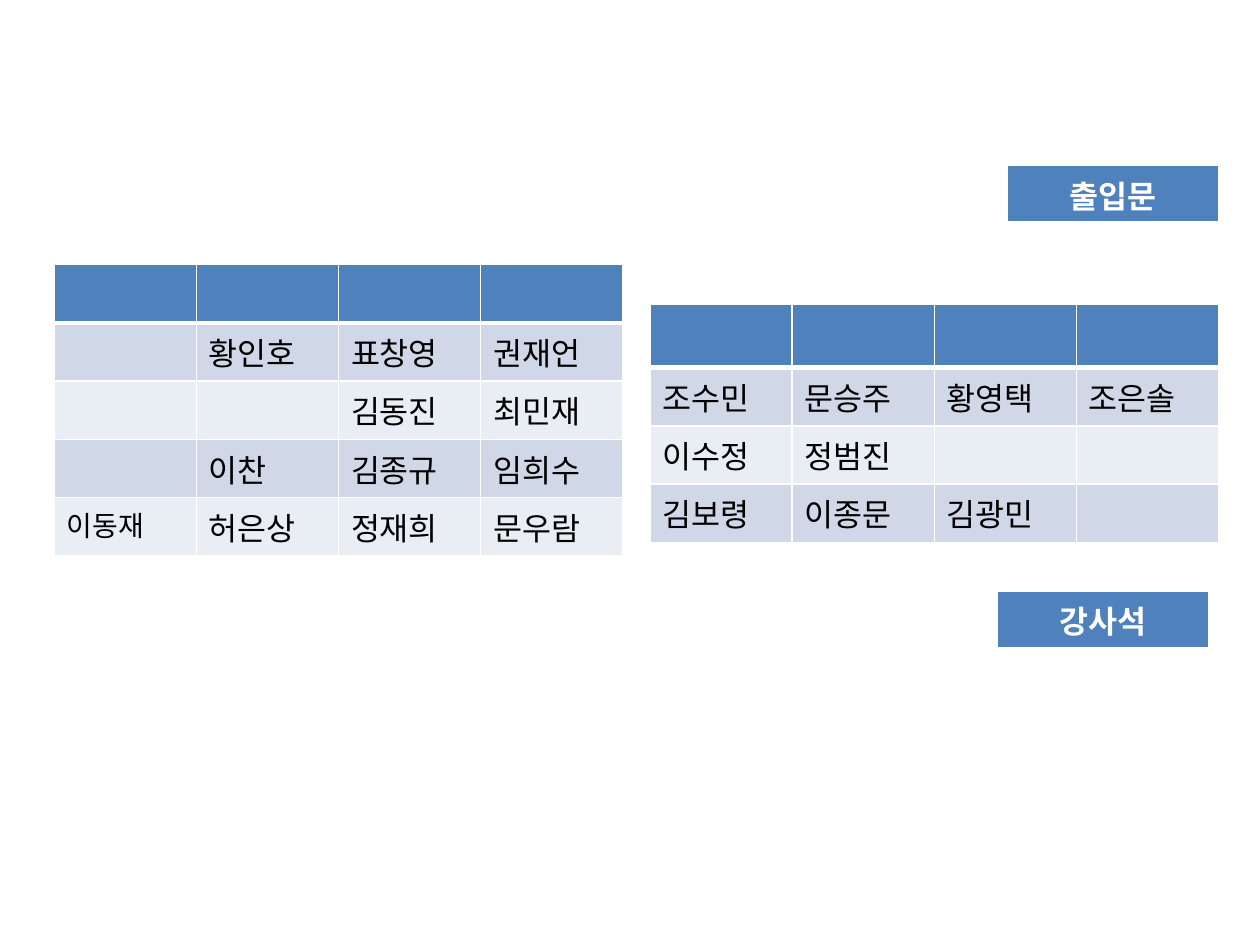
from lxml.etree import SubElement
from pptx import Presentation
from pptx.dml.color import RGBColor as Rgb
from pptx.enum.text import PP_ALIGN as Align
from pptx.oxml.ns import qn
from pptx.util import Pt

FONT = "Noto Sans CJK KR"
COLORS = {"header": "4F81BD", "odd": "D0D8E8", "even": "E9EDF4",
          "text": "000000", "white": "FFFFFF"}
SIZE, SMALL, ROW, SEAT, LABEL = 18, 16, 29.2, 81.2, 121
SMALL_NAMES = {"이동재"}

TABLES = [
    {"at": (31, 151.2), "column": SEAT, "header": (28.3, 18), "rows": [
        ["", "", "", ""],
        ["", "황인호", "표창영", "권재언"],
        ["", "", "김동진", "최민재"],
        ["", "이찬", "김종규", "임희수"],
        ["이동재", "허은상", "정재희", "문우람"]]},
    {"at": (371.5, 173.8), "column": SEAT, "header": (ROW, 20), "rows": [
        ["", "", "", ""],
        ["조수민", "문승주", "황영택", "조은솔"],
        ["이수정", "정범진", "", ""],
        ["김보령", "이종문", "김광민", ""]]},
    {"at": (569.8, 337.7), "column": LABEL, "header": (28.3, 18), "rows": [["강사석"]]},
    {"at": (575.5, 94.5), "column": LABEL, "header": (ROW, 18), "rows": [["출입문"]]},
]


def add_borders(cell, is_header):
    """Draw white cell edges, with a thick line under the header."""
    widths = {"lnL": 1, "lnR": 1, "lnT": 1, "lnB": 3 if is_header else 1}
    if not is_header:
        del widths["lnT"]
    properties = cell._tc.get_or_add_tcPr()
    for edge, width in widths.items():
        line = SubElement(properties, qn(f"a:{edge}"), w=str(Pt(width)))
        fill = SubElement(line, qn("a:solidFill"))
        SubElement(fill, qn("a:srgbClr"), val=COLORS["white"])


def write_name(cell, name, size, is_header):
    """Write a name, or keep the line height of an empty seat."""
    paragraph = cell.text_frame.paragraphs[0]
    if not name:
        end = SubElement(paragraph._p, qn("a:endParaRPr"), sz=str(size * 100))
        for script in ("latin", "ea"):
            SubElement(end, qn(f"a:{script}"), typeface=FONT)
        return
    run = paragraph.add_run()
    run.text = name
    run.font.size = Pt(size)
    run.font.bold = is_header
    run.font.color.rgb = Rgb.from_string(COLORS["white" if is_header else "text"])
    run.font.name = FONT
    SubElement(run.font._element, qn("a:ea"), typeface=FONT)
    if is_header:
        paragraph.alignment = Align.CENTER


def add_seats(slide, seats):
    """Add one block of seats, or a one-cell label."""
    rows = seats["rows"]
    header_height, header_size = seats["header"]
    heights = [header_height] + [ROW] * (len(rows) - 1)
    columns = len(rows[0])
    left, top = seats["at"]
    table = slide.shapes.add_table(
        len(rows), columns, Pt(left), Pt(top),
        Pt(columns * seats["column"]), Pt(sum(heights))).table
    table.horz_banding = False
    for column in table.columns:
        column.width = Pt(seats["column"])
    for r, names in enumerate(rows):
        table.rows[r].height = Pt(heights[r])
        is_header = r == 0
        color = "header" if is_header else "odd" if r % 2 else "even"
        for c, name in enumerate(names):
            cell = table.cell(r, c)
            size = header_size if is_header else SMALL if name in SMALL_NAMES else SIZE
            add_borders(cell, is_header)
            cell.fill.solid()
            cell.fill.fore_color.rgb = Rgb.from_string(COLORS[color])
            write_name(cell, name, size, is_header)


deck = Presentation()
deck.slide_width, deck.slide_height = Pt(720), Pt(540)
seating = deck.slides.add_slide(deck.slide_layouts[6])
for block in TABLES:
    add_seats(seating, block)
deck.save("out.pptx")
